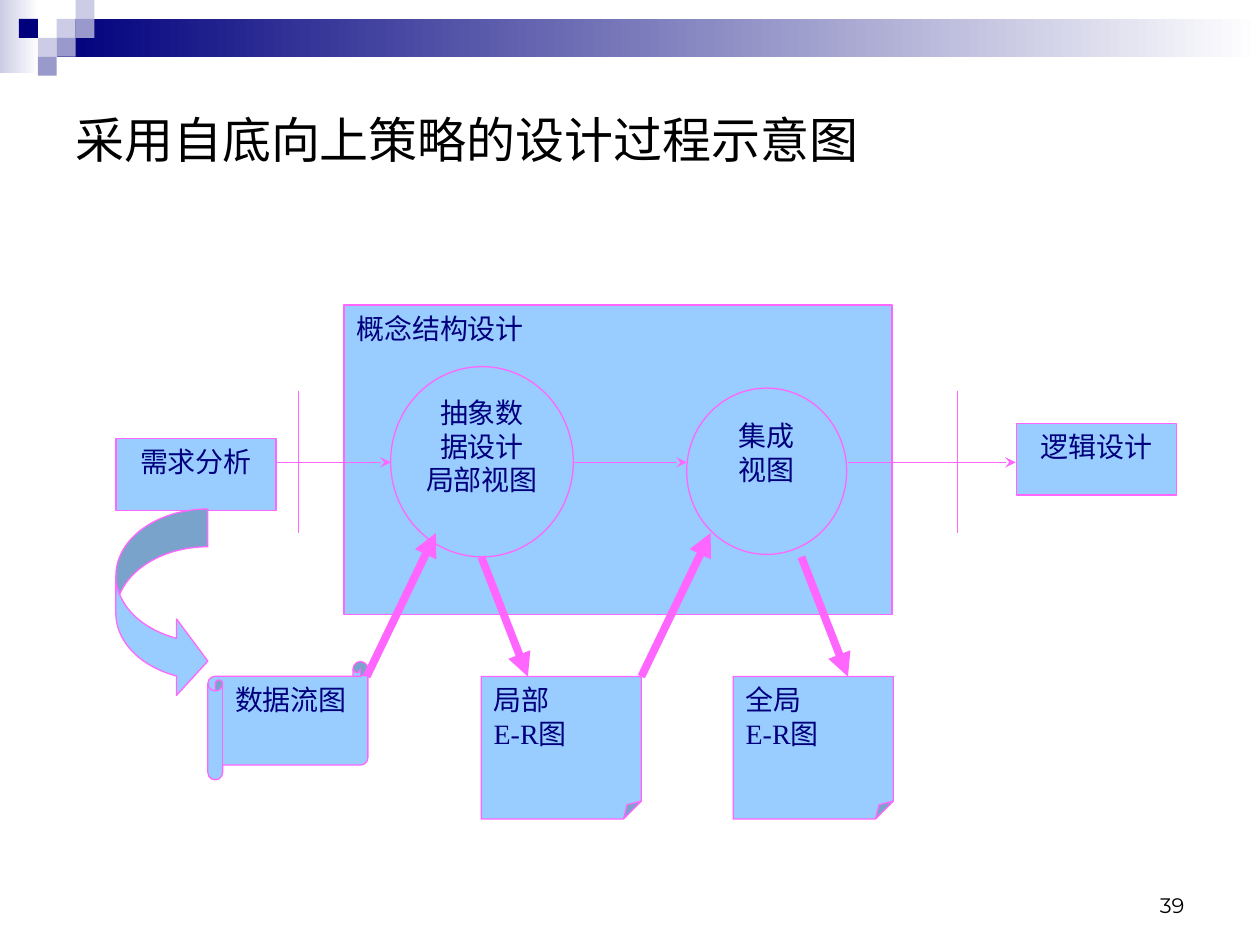
from lxml.etree import SubElement
from pptx import Presentation
from pptx.dml.color import RGBColor
from pptx.enum.shapes import MSO_CONNECTOR, MSO_SHAPE
from pptx.enum.text import MSO_ANCHOR, PP_ALIGN
from pptx.oxml.ns import qn
from pptx.util import Inches, Pt

NAVY = RGBColor(0x00, 0x00, 0x7D)
LAVENDER = RGBColor(0xCC, 0xCC, 0xE6)
PERIWINKLE = RGBColor(0x99, 0x99, 0xCC)
SKY = RGBColor(0x99, 0xCC, 0xFF)
PINK = RGBColor(0xFF, 0x66, 0xFF)
BLACK = RGBColor(0x00, 0x00, 0x00)
WHITE = RGBColor(0xFF, 0xFF, 0xFF)
CHINESE_FONT = "Noto Sans CJK SC"
DIAGRAM_FONT = "Times New Roman"
TILE = 0.15


def write_text(shape, lines, size, font_name, color, alignment, anchor, insets=(0.1, 0.05)):
    """Fill a shape with one paragraph per line."""
    frame = shape.text_frame
    frame.word_wrap = True
    frame.vertical_anchor = anchor
    frame.margin_left = frame.margin_right = Inches(insets[0])
    frame.margin_top = frame.margin_bottom = Inches(insets[1])
    for index, line in enumerate(lines):
        paragraph = frame.add_paragraph() if index else frame.paragraphs[0]
        paragraph.alignment = alignment
        run = paragraph.add_run()
        run.text = line
        run.font.size = Pt(size)
        run.font.name = font_name
        run.font.color.rgb = color
        SubElement(run.font._element, qn("a:ea")).set("typeface", CHINESE_FONT)


def add_text(slide, box, text, size, font_name, alignment, anchor):
    """Add a black single-line text box."""
    shape = slide.shapes.add_textbox(*map(Inches, box))
    write_text(shape, [text], size, font_name, BLACK, alignment, anchor)


def add_decoration(slide, box, color, fade=False):
    """Add an unlined rectangle, solid or fading to white."""
    shape = slide.shapes.add_shape(MSO_SHAPE.RECTANGLE, *map(Inches, box))
    shape.shadow.inherit = False
    shape.line.fill.background()
    if fade:
        shape.fill.gradient()
        shape.fill.gradient_angle = 0
        for stop, stop_color, position in zip(shape.fill.gradient_stops, (color, WHITE), (0, 1)):
            stop.color.rgb = stop_color
            stop.position = position
    else:
        shape.fill.solid()
        shape.fill.fore_color.rgb = color


def add_header(slide):
    """Add the fading bar and the mosaic of tiles."""
    add_decoration(slide, (0, 0, 0.31, 0.58), LAVENDER, fade=True)
    add_decoration(slide, (0.45, 0.15, 9.55, 0.3), NAVY, fade=True)
    tiles = [
        (3, 1, LAVENDER), (4, 0, LAVENDER), (4, 1, PERIWINKLE), (2, 2, LAVENDER),
        (1, 1, NAVY), (3, 2, PERIWINKLE), (2, 3, PERIWINKLE),
    ]
    for column, row, color in tiles:
        add_decoration(slide, (column * TILE, row * TILE, TILE, TILE), color)


def add_node(slide, kind, box, lines=(), alignment=PP_ALIGN.CENTER, insets=(0.1, 0.05)):
    """Add a blue diagram shape with a pink outline."""
    shape = slide.shapes.add_shape(kind, *map(Inches, box))
    shape.shadow.inherit = False
    shape.fill.solid()
    shape.fill.fore_color.rgb = SKY
    shape.line.color.rgb = PINK
    shape.line.width = Pt(0.75)
    write_text(shape, lines, 16, DIAGRAM_FONT, NAVY, alignment, MSO_ANCHOR.TOP, insets)
    return shape


def set_guides(shape, guides):
    """Replace the adjustment guides of a preset shape."""
    guide_list = shape._element.spPr.find(qn("a:prstGeom")).find(qn("a:avLst"))
    for guide in list(guide_list):
        guide_list.remove(guide)
    for name, value in guides.items():
        guide = SubElement(guide_list, qn("a:gd"))
        guide.set("name", name)
        guide.set("fmla", f"val {value}")


def add_line(slide, start, end, width=0.75, arrowhead=None):
    """Add a pink line with an optional arrowhead at its end."""
    connector = slide.shapes.add_connector(
        MSO_CONNECTOR.STRAIGHT, *map(Inches, (*start, *end)))
    connector.line.color.rgb = PINK
    connector.line.width = Pt(width)
    if arrowhead:
        SubElement(connector.line._get_or_add_ln(), qn("a:tailEnd")).set("type", arrowhead)
    SubElement(connector._element.spPr, qn("a:effectLst"))


def add_nodes(slide):
    """Add the boxes, circles and documents of the process."""
    add_node(slide, MSO_SHAPE.RECTANGLE, (2.73, 2.42, 4.35, 2.46),
             ["概念结构设计"], PP_ALIGN.JUSTIFY)
    add_node(slide, MSO_SHAPE.OVAL, (3.1, 2.91, 1.45, 1.51),
             ["抽象数", "据设计", "局部视图"], insets=(0.02, 0.01))
    add_node(slide, MSO_SHAPE.OVAL, (5.45, 3.08, 1.27, 1.32), ["集成", "视图"])
    add_node(slide, MSO_SHAPE.RECTANGLE, (0.92, 3.48, 1.27, 0.57), ["需求分析"])
    add_node(slide, MSO_SHAPE.RECTANGLE, (8.07, 3.36, 1.27, 0.57), ["逻辑设计"])
    add_node(slide, MSO_SHAPE.HORIZONTAL_SCROLL, (1.65, 5.25, 1.27, 0.94),
             ["数据流图"], PP_ALIGN.JUSTIFY)
    for left, scope in ((5.82, "全局"), (3.82, "局部")):
        document = add_node(slide, MSO_SHAPE.FOLDED_CORNER, (left, 5.37, 1.27, 1.13),
                            [scope, "E-R图"], PP_ALIGN.JUSTIFY)
        set_guides(document, {"adj": 12500})
    curved_arrow = add_node(slide, MSO_SHAPE.CURVED_RIGHT_ARROW, (0.92, 4.04, 0.73, 1.51))
    set_guides(curved_arrow, {"adj1": 41000, "adj2": 83000, "adj3": 34000})


def add_flows(slide):
    """Add the stage dividers and the arrows between nodes."""
    for start, end in ((2.19, 3.1), (4.55, 5.45), (6.73, 8.06)):
        add_line(slide, (start, 3.67), (end, 3.67), arrowhead="stealth")
    for divider in (2.37, 7.6):
        add_line(slide, (divider, 3.1), (divider, 4.23))
    for left in (2.91, 5.09):
        add_line(slide, (left, 5.37), (left + 0.55, 4.23), 4.5, "triangle")
    for left in (3.82, 6.36):
        add_line(slide, (left, 4.42), (left + 0.37, 5.37), 4.5, "triangle")


def main():
    """Build and save the slide."""
    presentation = Presentation()
    presentation.slide_width = Inches(10)
    presentation.slide_height = Inches(7.5)
    slide = presentation.slides.add_slide(presentation.slide_layouts[6])
    add_header(slide)
    add_text(slide, (7.17, 6.83, 2.33, 0.5), "39", 12, "Montserrat",
             PP_ALIGN.RIGHT, MSO_ANCHOR.BOTTOM)
    add_text(slide, (0.5, 0.69, 9, 0.82), "采用自底向上策略的设计过程示意图", 28,
             CHINESE_FONT, PP_ALIGN.LEFT, MSO_ANCHOR.MIDDLE)
    add_nodes(slide)
    add_flows(slide)
    presentation.save("out.pptx")


if __name__ == "__main__":
    main()
